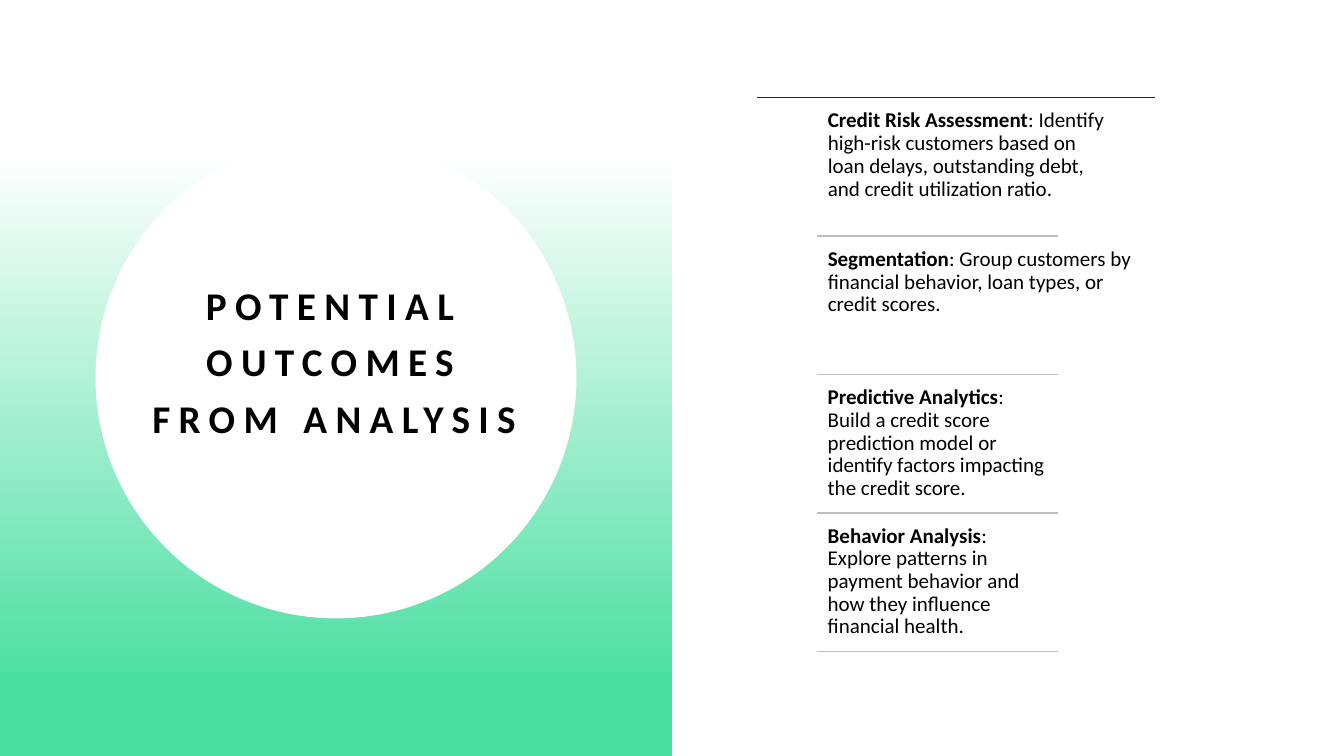
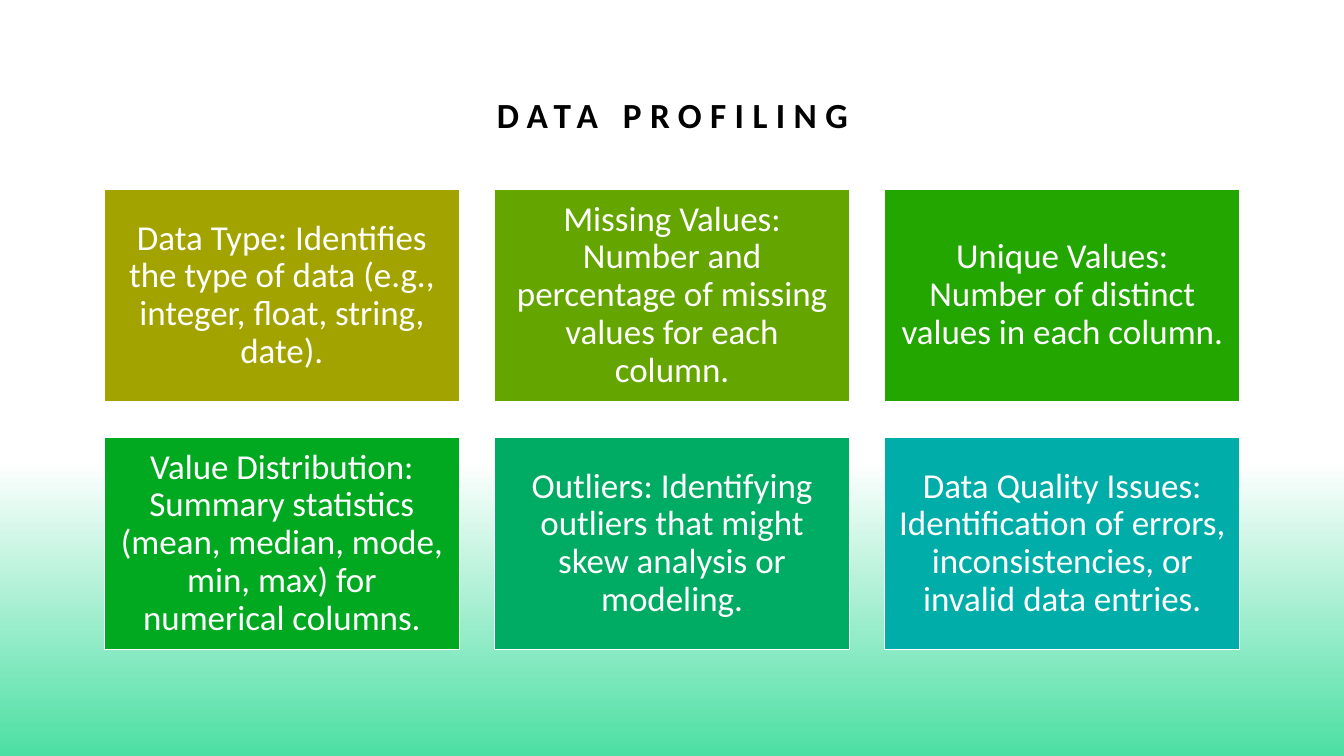
from lxml import etree
from pptx import Presentation
from pptx.dml.color import RGBColor
from pptx.enum.shapes import MSO_CONNECTOR, MSO_SHAPE
from pptx.enum.text import MSO_ANCHOR, MSO_AUTO_SIZE, PP_ALIGN
from pptx.oxml.ns import qn
from pptx.util import Inches, Pt

LINE = MSO_CONNECTOR.STRAIGHT
RECT, OVAL = MSO_SHAPE.RECTANGLE, MSO_SHAPE.OVAL
MIDDLE, BOTTOM = MSO_ANCHOR.MIDDLE, MSO_ANCHOR.BOTTOM
CENTER = PP_ALIGN.CENTER
NO_FIT = MSO_AUTO_SIZE.NONE

WHITE = RGBColor(0xFF, 0xFF, 0xFF)
BLACK = RGBColor(0, 0, 0)
MINT = RGBColor(0x4C, 0xDF, 0xA3)
DARK = RGBColor(0x0A, 0x2E, 0x36)
GREY = RGBColor(0xBD, 0xBE, 0xBF)
FONT = "Calibri"

prs = Presentation()
prs.slide_width, prs.slide_height = Inches(13.33), Inches(7.5)
W, H = prs.slide_width, prs.slide_height
TITLE_ONLY = prs.slide_layouts[5]


def add_fade(s, top, width, start, end):
    """Add a panel down to the slide's bottom that fades from white to mint."""
    sp = s.shapes.add_shape(RECT, 0, top, width, H - top)
    sp.shadow.inherit = False
    sp.line.fill.background()
    sp.fill.gradient()
    sp.fill.gradient_angle = 270
    for stop, color, position in zip(sp.fill.gradient_stops, (WHITE, MINT), (start, end)):
        stop.color.rgb = color
        stop.position = position


def set_title(s, text, box, size, anchor):
    """Fill and format the title placeholder and bring it to the front."""
    sp = s.shapes.title
    s.shapes._spTree.append(sp._element)
    sp.left, sp.top, sp.width, sp.height = [Inches(v) for v in box]
    tf = sp.text_frame
    tf.text = text
    tf.word_wrap, tf.auto_size, tf.vertical_anchor = True, NO_FIT, anchor
    p = tf.paragraphs[0]
    p.alignment, p.line_spacing = CENTER, 1.2
    r = p.runs[0]
    style = {"name": FONT, "size": Pt(size), "bold": True}
    for key, value in style.items():
        setattr(r.font, key, value)
    r.font.color.rgb = BLACK
    r.font._element.set("spc", "600")


# Slide 1: title in a circle, ruled list of outcomes
s = prs.slides.add_slide(TITLE_ONLY)
add_fade(s, 0, W // 2, 0.2, 0.9)
diameter = Inches(4.77)
sp = s.shapes.add_shape(OVAL, W // 4 - diameter // 2, (H - diameter) // 2, diameter, diameter)
sp.shadow.inherit = False
sp.fill.solid()
sp.fill.fore_color.rgb = WHITE
sp.line.fill.background()
set_title(s, "POTENTIAL OUTCOMES FROM ANALYSIS", (1.32, 2.5, 3.99, 2.5), 28, MIDDLE)
s.shapes.title.text_frame.margin_bottom = Inches(0.48)

OUTCOMES = [
    ("Credit Risk Assessment", ": Identify high-risk customers based on loan delays, "
     "outstanding debt, and credit utilization ratio.", 2.98),
    ("Segmentation", ": Group customers by financial behavior, loan types, "
     "or credit scores.", 3.31),
    ("Predictive Analytics", ": Build a credit score prediction model or identify "
     "factors impacting the credit score.", 2.34),
    ("Behavior Analysis", ": Explore patterns in payment behavior and how they "
     "influence financial health.", 2.34),
]
LIST_TOP, ROW, PAD = Inches(0.97), Inches(1.373), Inches(0.06)

for i in range(len(OUTCOMES) + 1):
    left, right, color = (7.51, 11.46, DARK) if i == 0 else (8.1, 10.49, GREY)
    y = LIST_TOP + i * ROW
    rule = s.shapes.add_connector(LINE, Inches(left), y, Inches(right), y)
    rule.line.color.rgb = color
    rule.line.width = Pt(1)
    etree.SubElement(rule._element.spPr, qn("a:effectLst"))

for i, (name, detail, width) in enumerate(OUTCOMES):
    box = s.shapes.add_textbox(Inches(8.15), LIST_TOP + i * ROW + PAD, Inches(width), ROW - PAD)
    tf = box.text_frame
    tf.word_wrap = True
    tf.margin_left = tf.margin_right = tf.margin_top = tf.margin_bottom = PAD
    p = tf.paragraphs[0]
    p.line_spacing = 0.9
    for text, bold in ((name, True), (detail, False)):
        r = p.add_run()
        r.text = text
        for key, value in {"name": FONT, "size": Pt(15), "bold": bold}.items():
            setattr(r.font, key, value)
        r.font.color.rgb = BLACK

# Slide 2: grid of profiling cards
s = prs.slides.add_slide(TITLE_ONLY)
add_fade(s, Inches(4.09), W, 0.14, 1)
set_title(s, "DATA PROFILING", (1.67, 0.83, 10, 0.57), 25.2, BOTTOM)

CARDS = [
    ("Data Type: Identifies the type of data (e.g., integer, float, string, date).",
     RGBColor(0xA3, 0xA3, 0x00)),
    ("Missing Values: Number and percentage of missing values for each column.",
     RGBColor(0x64, 0xA5, 0x00)),
    ("Unique Values: Number of distinct values in each column.",
     RGBColor(0x23, 0xA7, 0x00)),
    ("Value Distribution: Summary statistics (mean, median, mode, min, max) "
     "for numerical columns.", RGBColor(0x00, 0xA9, 0x1F)),
    ("Outliers: Identifying outliers that might skew analysis or modeling.",
     RGBColor(0x00, 0xAB, 0x63)),
    ("Data Quality Issues: Identification of errors, inconsistencies, "
     "or invalid data entries.", RGBColor(0x00, 0xAD, 0xA8)),
]
COLS = 3
CARD_W, CARD_H, GAP = Inches(3.52), Inches(2.11), Inches(0.35)
GRID_LEFT = (W - COLS * CARD_W - (COLS - 1) * GAP) // 2
GRID_TOP = H // 4

for i, (text, color) in enumerate(CARDS):
    row, col = divmod(i, COLS)
    sp = s.shapes.add_shape(RECT, GRID_LEFT + col * (CARD_W + GAP),
                            GRID_TOP + row * (CARD_H + GAP), CARD_W, CARD_H)
    sp.shadow.inherit = False
    sp.fill.solid()
    sp.fill.fore_color.rgb = color
    sp.line.color.rgb = WHITE
    sp.line.width = Pt(1)
    tf = sp.text_frame
    tf.text = text
    tf.word_wrap, tf.vertical_anchor = True, MIDDLE
    tf.margin_left = tf.margin_right = tf.margin_top = tf.margin_bottom = Inches(0.1)
    p = tf.paragraphs[0]
    p.alignment, p.line_spacing = CENTER, 0.9
    p.font.name, p.font.size = FONT, Pt(25)
    p.font.color.rgb = WHITE

prs.save("out.pptx")
